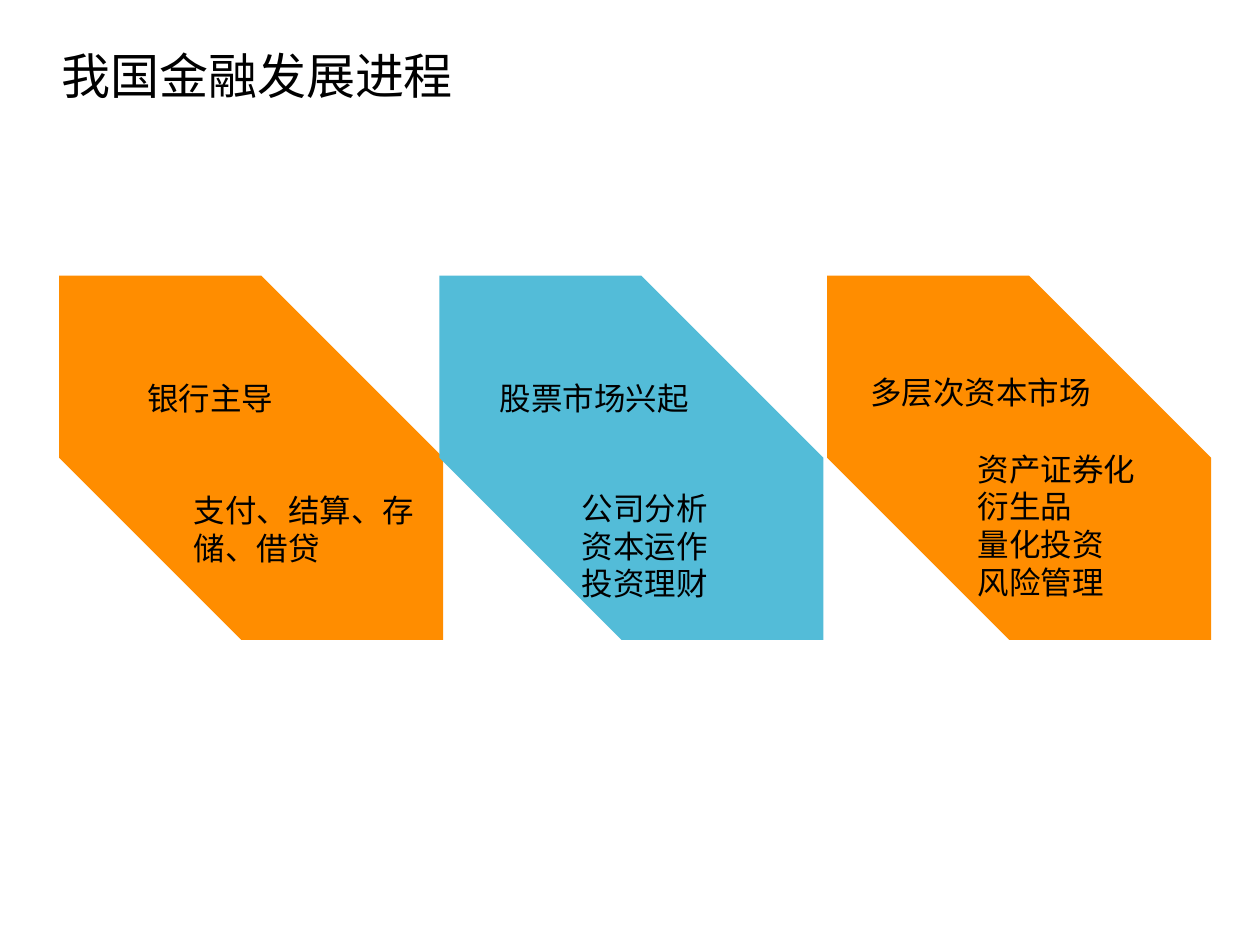
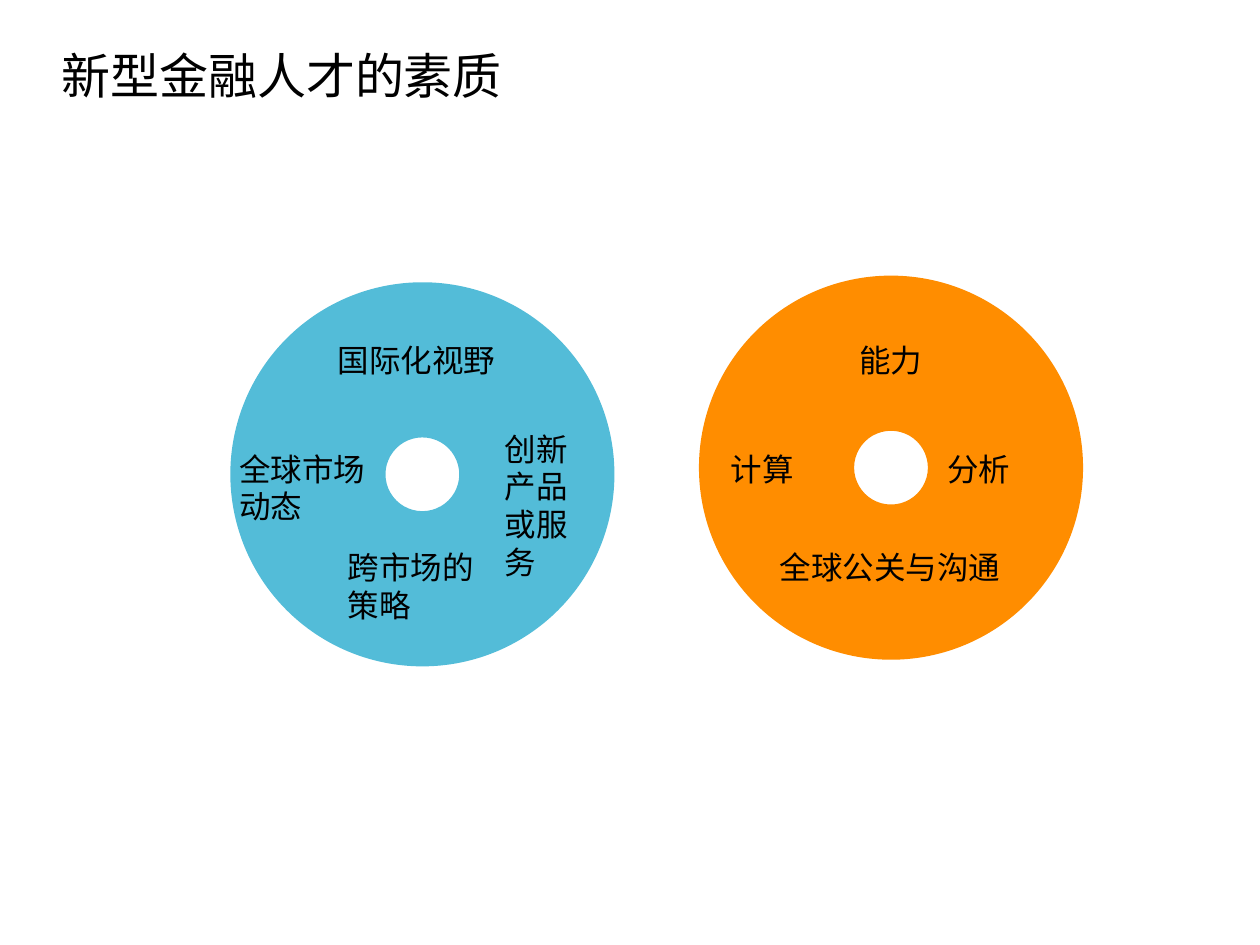
"""Build two slides on the development of finance and the skills of its talent."""
from lxml import etree
from pptx import Presentation
from pptx.dml.color import RGBColor
from pptx.enum.shapes import MSO_SHAPE
from pptx.enum.text import MSO_AUTO_SIZE
from pptx.oxml.ns import qn
from pptx.util import Pt

ORANGE = RGBColor(0xFF, 0x8D, 0x00)
BLUE = RGBColor(0x53, 0xBC, 0xD8)
BLACK = RGBColor(0, 0, 0)
FONT = "Noto Sans CJK SC"
SNIPPED = MSO_SHAPE.SNIP_2_DIAG_RECTANGLE
DONUT = MSO_SHAPE.DONUT
FIT_SHAPE = MSO_AUTO_SIZE.SHAPE_TO_FIT_TEXT
TITLE_SIZE = 28
BODY_SIZE = 18


def add_figure(slide, preset, box, color, adjustments):
    figure = slide.shapes.add_shape(preset, *map(Pt, box))
    figure.shadow.inherit = False
    figure.fill.solid()
    figure.fill.fore_color.rgb = color
    figure.line.fill.background()
    for index, value in enumerate(adjustments):
        figure.adjustments[index] = value


def add_text(slide, lines, box, size=BODY_SIZE, wrap=True):
    frame = slide.shapes.add_textbox(*map(Pt, box)).text_frame
    frame.word_wrap = wrap
    frame.auto_size = FIT_SHAPE
    style = {"name": FONT, "size": Pt(size)}
    for index, line in enumerate(lines):
        paragraph = frame.add_paragraph() if index else frame.paragraphs[0]
        run = paragraph.add_run()
        run.text = line
        for attribute, value in style.items():
            setattr(run.font, attribute, value)
        run.font.color.rgb = BLACK
        east_asian = etree.SubElement(run._r.get_or_add_rPr(), qn("a:ea"))
        east_asian.set("typeface", FONT)


deck = Presentation()
deck.slide_width, deck.slide_height = Pt(720), Pt(540)
blank = deck.slide_layouts[6]

titles = [("我国金融发展进程", 240.5), ("新型金融人才的素质", 269.3)]
progress, talent = [deck.slides.add_slide(blank) for _ in titles]
for slide, (title, width) in zip((progress, talent), titles):
    add_text(slide, [title], (28.1, 22.3, width, 41), TITLE_SIZE, False)

stages = [
    (33.8, ORANGE, "银行主导", (77, 213.1, 87.1),
     ["支付、结算、存储、借贷"], (103.7, 277.2)),
    (251, BLUE, "股票市场兴起", (278.6, 213.1, 123.8),
     ["公司分析", "资本运作", "投资理财"], (325.4, 275.8)),
    (472.6, ORANGE, "多层次资本市场", (490.3, 209.5, 141.8),
     ["资产证券化", "衍生品", "量化投资", "风险管理"], (551.5, 253.4)),
]
for left, color, *_ in stages:
    add_figure(progress, SNIPPED, (left, 157.5, 219.5, 208.1), color, (0, 0.5))
for _, _, stage, stage_box, topics, topics_at in stages:
    add_text(progress, [stage], (*stage_box, 28.8), wrap=False)
    add_text(progress, topics, (*topics_at, 147.6, 7.2 + 21.8 * len(topics)))

for left, top, color in [(131.6, 161.3, BLUE), (399.4, 157.5, ORANGE)]:
    add_figure(talent, DONUT, (left, top, 219.5, 219.5), color, (0.404,))

qualities = [
    (["国际化视野"], (185.8, 191.5, 105.1, 28.8), False),
    (["全球市场", "动态"], (129.6, 253.4, 90, 51.1), True),
    (["创新产品或服务"], (281.5, 241.9, 67.7, 94.3), True),
    (["跨市场的策略"], (191.5, 309.6, 90, 51.1), True),
    (["能力"], (483.8, 191.5, 51.1, 28.8), False),
    (["计算"], (410.4, 253.4, 82.1, 28.8), True),
    (["分析"], (534.2, 253.4, 82.1, 28.8), True),
    (["全球公关与沟通"], (438.5, 309.6, 141.8, 28.8), False),
]
for lines, box, wrap in qualities:
    add_text(talent, lines, box, wrap=wrap)

deck.save("out.pptx")
